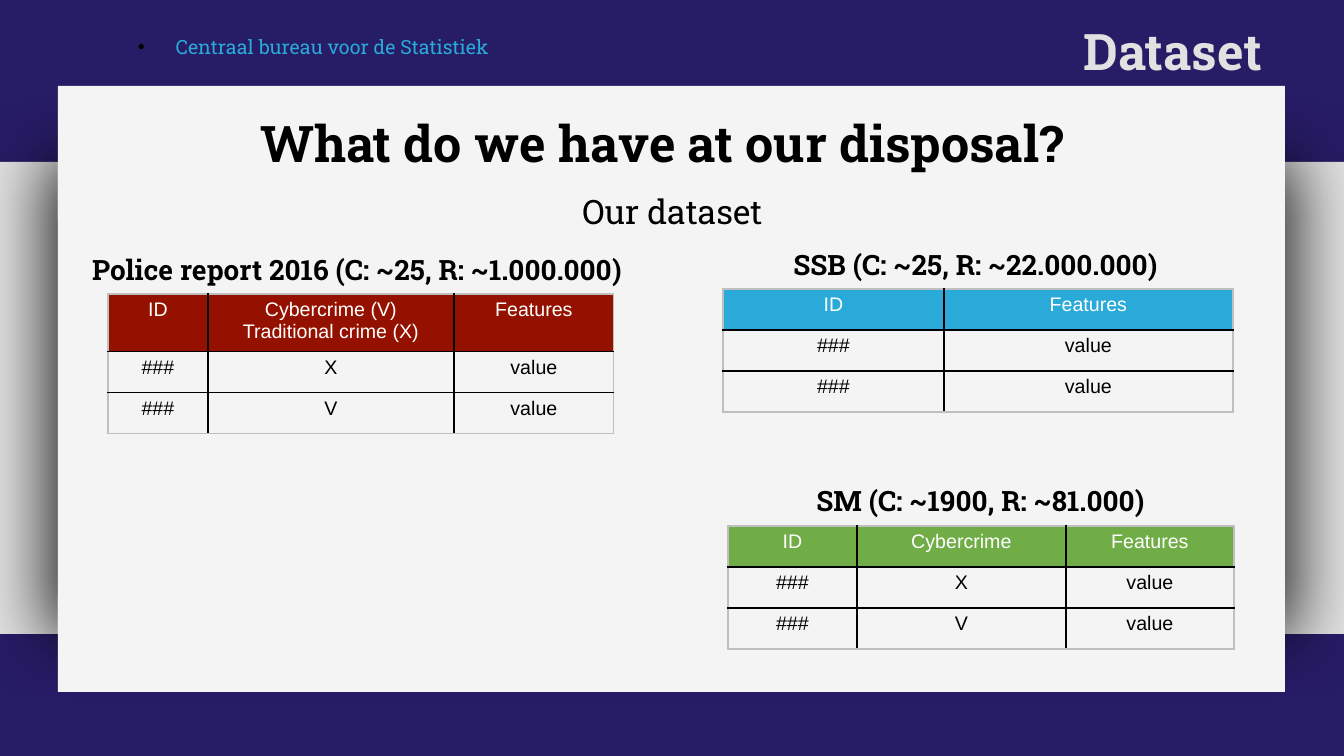
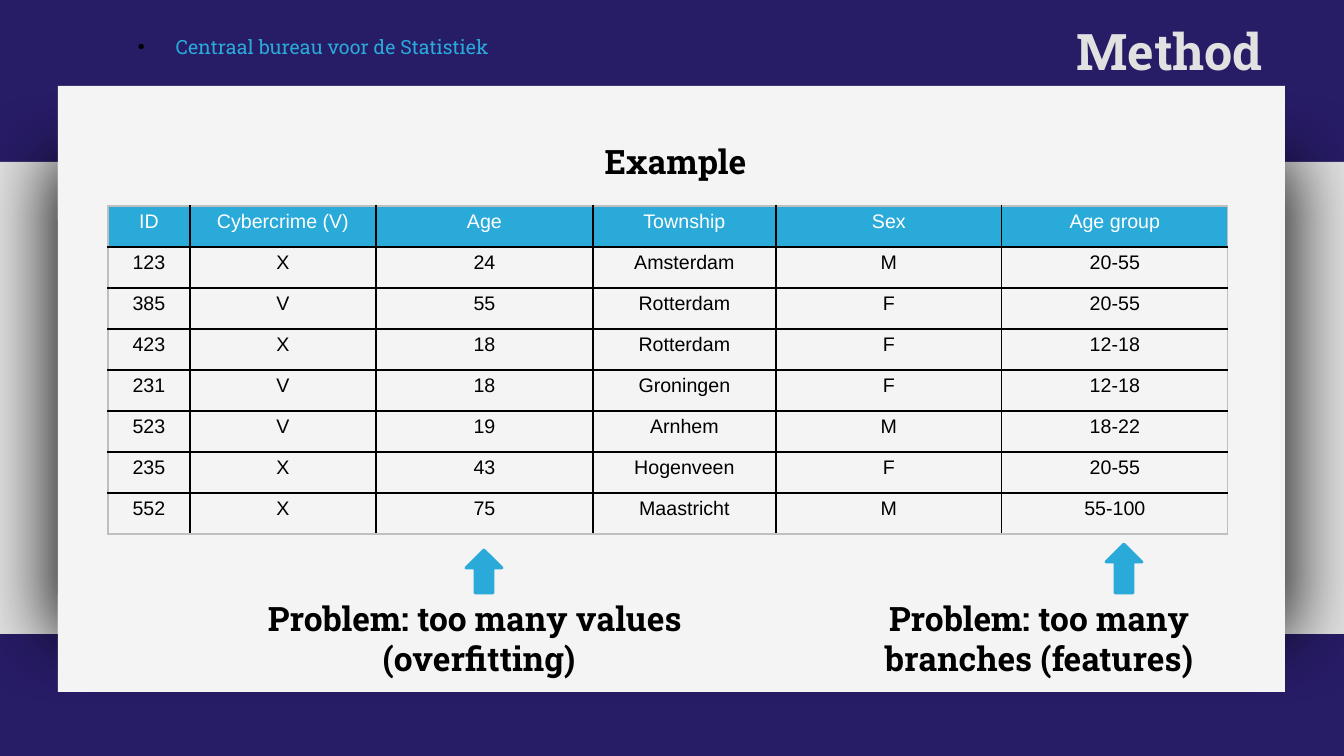
import pptx
import pptx.dml.color
import pptx.enum.shapes
import pptx.enum.text
import pptx.oxml
import pptx.oxml.ns
import pptx.util

SCALE = 12192000 / 1344
HUES = {"navy": "271C66", "band": "E1E1E1", "panel": "F4F4F4", "blue": "2AAAD9",
        "red": "941100", "green": "70AD47", "black": "000000", "white": "FFFFFF",
        "edge": "BFBFBF"}
SLAB, SANS = "Roboto Slab", "Arial"
ALIGN = pptx.enum.text.PP_ALIGN
SHAPE = pptx.enum.shapes.MSO_SHAPE

STYLES = {
    "title": {"size": 36, "bold": True, "name": SLAB, "hue": "band", "align": ALIGN.RIGHT},
    "source": {"size": 14, "bold": False, "name": SLAB, "hue": "blue", "align": ALIGN.LEFT},
    "lead": {"size": 36, "bold": True, "name": SLAB, "hue": "black", "align": ALIGN.CENTER},
    "plain": {"size": 24, "bold": False, "name": SLAB, "hue": "black", "align": ALIGN.CENTER},
    "strong": {"size": 24, "bold": True, "name": SLAB, "hue": "black", "align": ALIGN.CENTER},
    "label": {"size": 20, "bold": True, "name": SLAB, "hue": "black", "align": ALIGN.CENTER},
    "head": {"size": 14, "bold": False, "name": SANS, "hue": "white", "align": ALIGN.CENTER},
    "cell": {"size": 14, "bold": False, "name": SANS, "hue": "black", "align": ALIGN.CENTER},
}

BANDS = [
    ("navy", (0, 0, 1344, 756)),
    ("band", (0, 162, 1344, 472)),
    ("panel", (58, 162, 1227, 472)),
    ("panel", (58, 86, 1227, 134)),
    ("panel", (58, 594, 1227, 98)),
]
SHADED = 2
TITLE = (744, 15, 529, 72)
SOURCE = ("Centraal bureau voor de Statistiek", (128, 30, 702, 40))
ROW = 41

SLIDES = [
    {
        "title": "Dataset",
        "texts": [
            ("lead", "What do we have at our disposal? ", (123, 107, 1091, 72)),
            ("plain", "Our dataset", (349, 186, 647, 50)),
            ("label", "Police report 2016 (C: ~25, R: ~1.000.000) ", (49, 248, 623, 44)),
            ("label", "SSB (C: ~25, R: ~22.000.000) ", (724, 243, 510, 44)),
            ("label", "SM (C: ~1900, R: ~81.000) ", (729, 479, 510, 44)),
        ],
        "tables": [
            ("red", (108, 294), 57, (100, 246, 160), [
                ("ID", "Cybercrime (V)\nTraditional crime (X)", "Features"),
                ("###", "X", "value"),
                ("###", "V", "value")]),
            ("blue", (723, 289), ROW, (221, 289), [
                ("ID", "Features"),
                ("###", "value"),
                ("###", "value")]),
            ("green", (728, 526), ROW, (129, 209, 168), [
                ("ID", "Cybercrime", "Features"),
                ("###", "X", "value"),
                ("###", "V", "value")]),
        ],
        "arrows": [],
    },
    {
        "title": "Method",
        "texts": [
            ("strong", "Example", (170, 136, 1011, 50)),
            ("strong", "Problem: too many values \n(overfitting)", (245, 593, 468, 92)),
            ("strong", "Problem: too many branches (features)", (805, 593, 468, 92)),
        ],
        "tables": [
            ("blue", (108, 206), ROW, (82, 186, 217, 183, 226, 226), [
                ("ID", "Cybercrime (V)", "Age", "Township", "Sex", "Age group"),
                ("123", "X", "24", "Amsterdam", "M", "20-55"),
                ("385", "V", "55", "Rotterdam", "F", "20-55"),
                ("423", "X", "18", "Rotterdam", "F", "12-18"),
                ("231", "V", "18", "Groningen", "F", "12-18"),
                ("523", "V", "19", "Arnhem", "M", "18-22"),
                ("235", "X", "43", "Hogenveen", "F", "20-55"),
                ("552", "X", "75", "Maastricht", "M", "55-100")]),
        ],
        "arrows": [(466, 550, 36, 43), (1106, 544, 36, 49)],
    },
]


def px(num):
    return pptx.util.Emu(round(num * SCALE))


def place(box):
    return [px(num) for num in box]


def tint(hue):
    return pptx.dml.color.RGBColor.from_string(HUES[hue])


def make(xml):
    return pptx.oxml.parse_xml(xml.replace(">", " " + pptx.oxml.ns.nsdecls("a") + ">", 1))


def write(frame, text, style):
    form = STYLES[style]
    for num, line in enumerate(text.split("\n")):
        para = frame.paragraphs[0] if num == 0 else frame.add_paragraph()
        para.alignment = form["align"]
        run = para.add_run()
        run.text = line
        look = {"size": pptx.util.Pt(form["size"]), "bold": form["bold"], "name": form["name"]}
        for key, val in look.items():
            setattr(run.font, key, val)
        run.font.color.rgb = tint(form["hue"])


def add_text(slide, style, text, box):
    shape = slide.shapes.add_textbox(*place(box))
    shape.text_frame.word_wrap = True
    write(shape.text_frame, text, style)
    return shape


def add_block(slide, kind, hue, box):
    shape = slide.shapes.add_shape(kind, *place(box))
    shape.shadow.inherit = False
    shape.fill.solid()
    shape.fill.fore_color.rgb = tint(hue)
    shape.line.fill.background()
    return shape


def add_frame(slide, layout):
    for old in list(layout.placeholders):
        if old.placeholder_format.idx != 0:
            old.element.getparent().remove(old.element)
    parts = [add_block(slide, SHAPE.RECTANGLE, hue, box) for hue, box in BANDS]
    glow = parts[SHADED].element.spPr.find(pptx.oxml.ns.qn("a:effectLst"))
    glow.append(make('<a:outerShdw blurRad="635000" sx="102000" sy="102000" algn="ctr" '
                     'rotWithShape="0"><a:srgbClr val="000000"><a:alpha val="80000"/>'
                     '</a:srgbClr></a:outerShdw>'))
    source = add_text(slide, "source", *SOURCE)
    props = source.text_frame.paragraphs[0]._p.get_or_add_pPr()
    props.set("marL", "342900")
    props.set("indent", "-342900")
    for xml in ('<a:buClr><a:srgbClr val="000000"/></a:buClr>',
                '<a:buFont typeface="Arial"></a:buFont>',
                '<a:buChar char="•"></a:buChar>'):
        props.append(make(xml))
    for num, part in enumerate(parts + [source]):
        layout.shapes.element.insert(2 + num, part.element)


def add_title(slide, text):
    title = slide.shapes.title
    for key, val in zip(("left", "top", "width", "height"), place(TITLE)):
        setattr(title, key, val)
    look = {"word_wrap": True, "auto_size": pptx.enum.text.MSO_AUTO_SIZE.NONE,
            "vertical_anchor": pptx.enum.text.MSO_ANCHOR.TOP}
    for key, val in look.items():
        setattr(title.text_frame, key, val)
    write(title.text_frame, text, "title")


def add_lines(cell, outer):
    props = cell._tc.get_or_add_tcPr()
    for side, edge in zip("LRTB", outer):
        hue = HUES["edge" if edge else "black"]
        props.append(make(f'<a:ln{side} w="12700"><a:solidFill><a:srgbClr val="{hue}"/>'
                          f'</a:solidFill></a:ln{side}>'))


def add_grid(slide, hue, spot, top, cols, rows):
    highs = [top] + [ROW] * (len(rows) - 1)
    box = (*spot, sum(cols), sum(highs))
    table = slide.shapes.add_table(len(rows), len(cols), *place(box)).table
    table.horz_banding = False
    for col, wide in zip(table.columns, cols):
        col.width = px(wide)
    for row, high in zip(table.rows, highs):
        row.height = px(high)
    for y, row in enumerate(rows):
        for x, text in enumerate(row):
            cell = table.cell(y, x)
            add_lines(cell, (x == 0, x == len(cols) - 1, y == 0, y == len(rows) - 1))
            if y == 0:
                cell.fill.solid()
                cell.fill.fore_color.rgb = tint(hue)
            else:
                cell.fill.background()
            write(cell.text_frame, text, "cell" if y else "head")


def add_arrow(slide, box):
    arrow = add_block(slide, SHAPE.UP_ARROW, "blue", box)
    arrow.line.color.rgb = tint("blue")
    arrow.line.width = pptx.util.Pt(2)


def main():
    deck = pptx.Presentation()
    deck.slide_width, deck.slide_height = px(1344), px(756)
    layout = deck.slide_layouts[5]
    for num, data in enumerate(SLIDES):
        slide = deck.slides.add_slide(layout)
        if num == 0:
            add_frame(slide, layout)
        add_title(slide, data["title"])
        for text in data["texts"]:
            add_text(slide, *text)
        for grid in data["tables"]:
            add_grid(slide, *grid)
        for box in data["arrows"]:
            add_arrow(slide, box)
    deck.save("out.pptx")


if __name__ == "__main__":
    main()
